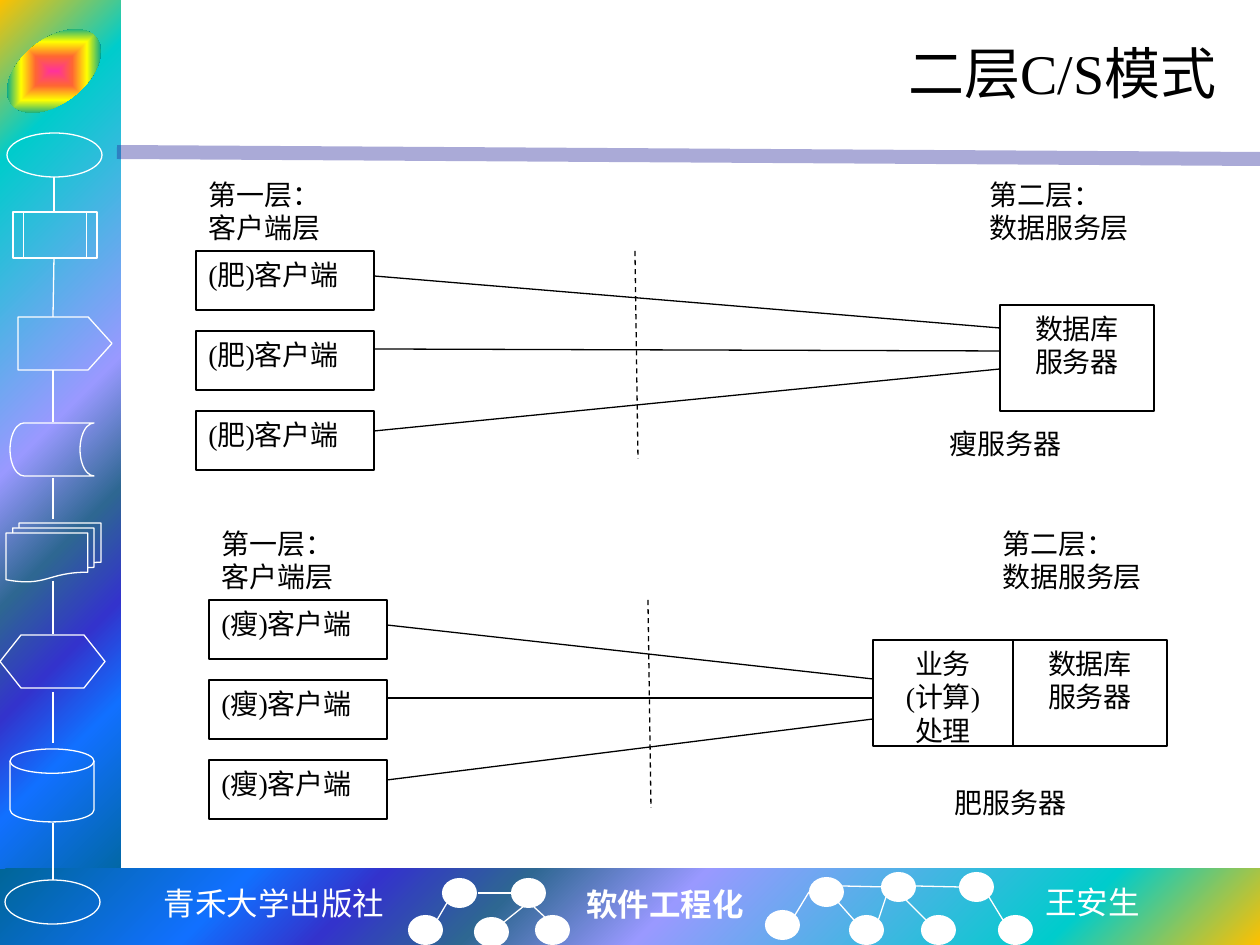
from lxml import etree
from pptx import Presentation, util as u
from pptx.dml.color import RGBColor
from pptx.enum import dml, shapes, text
from pptx.oxml import ns

PX = 914400 / 126
THEME = {
    "ink": "000000", "white": "FFFFFF", "rule": "262699",
    "serif": "Times New Roman", "mono": "Noto Sans Mono", "cjk": "Noto Sans CJK SC",
    "title": 32, "footer": 18, "body": 16, "hairline": 0.75, "rule_width": 8,
    "band": [(0, "FFC000"), (16, "00CCCC"), (47, "9999FF"), (60, "2E6792"),
             (71, "3333CC"), (81, "1170FF"), (100, "006699")],
    "badge": [(0, "FF3399"), (25, "FF6633"), (50, "FFFF00"), (75, "01A78F"), (100, "3366FF")],
}
KIND = shapes.MSO_SHAPE
ALIGN = text.PP_ALIGN

deck = Presentation()
deck.slide_width, deck.slide_height = u.Inches(10), u.Inches(7.5)
slide = deck.slides.add_slide(deck.slide_layouts[6])


def add_part(box, kind=None, words="", fill=None, line=None, size="body", font="serif",
             color="ink", bold=False, align=ALIGN.LEFT, **frame_format):
    """Add a shape, or a text box when kind is None; box is in pixels."""
    place = [round(v * PX) for v in box]
    if kind is None:
        part = slide.shapes.add_textbox(*place)
    else:
        part = slide.shapes.add_shape(kind, *place)
        part.shadow.inherit = False
        if fill:
            part.fill.solid()
            part.fill.fore_color.rgb = RGBColor.from_string(THEME[fill])
        else:
            part.fill.background()
        if line:
            part.line.color.rgb = RGBColor.from_string(THEME[line])
            part.line.width = u.Pt(THEME["hairline"])
        else:
            part.line.fill.background()
    if words:
        frame = part.text_frame
        frame_values = {"word_wrap": True, "vertical_anchor": text.MSO_ANCHOR.TOP, **frame_format}
        for name, value in frame_values.items():
            setattr(frame, name, value)
        frame.text = words
        font_values = {"size": u.Pt(THEME[size]), "name": THEME[font], "bold": bold}
        for paragraph in frame.paragraphs:
            paragraph.alignment = align
            for run in paragraph.runs:
                for name, value in font_values.items():
                    setattr(run.font, name, value)
                run.font.color.rgb = RGBColor.from_string(THEME[color])
                east = etree.SubElement(run.font._element, ns.qn("a:ea"))
                east.set("typeface", THEME["cjk"])
    return part


def add_line(ends, color="white", width="hairline", dash=None):
    """Join two points given in pixels as x1, y1, x2, y2."""
    link = slide.shapes.add_connector(shapes.MSO_CONNECTOR.STRAIGHT, *[round(v * PX) for v in ends])
    link.line.color.rgb = RGBColor.from_string(THEME[color])
    link.line.width = u.Pt(THEME[width])
    if dash:
        link.line.dash_style = dash
    etree.SubElement(link._element.spPr, ns.qn("a:effectLst"))
    return link


# Gradient side band, footer band and badge
for box, kind, stops, path_kind, focus, turn in [
    ((0, 0, 121, 893), KIND.RECTANGLE, "band", "circle", (0, 0, 100, 100), 0),
    ((0, 869, 1260, 76), KIND.RECTANGLE, "band", "circle", (100, 100, 0, 0), 0),
    ((0, 39, 108, 64), KIND.OVAL, "badge", "shape", (50, 50, 50, 50), -38),
]:
    band = add_part(box, kind)
    band.rotation = turn
    props = band._element.spPr
    props.remove(props.find(ns.qn("a:noFill")))
    gradient = etree.Element(ns.qn("a:gradFill"), rotWithShape="1")
    stop_list = etree.SubElement(gradient, ns.qn("a:gsLst"))
    for position, color in THEME[stops]:
        stop = etree.SubElement(stop_list, ns.qn("a:gs"), pos=str(position * 1000))
        etree.SubElement(stop, ns.qn("a:srgbClr"), val=color)
    spread = etree.SubElement(gradient, ns.qn("a:path"), path=path_kind)
    etree.SubElement(spread, ns.qn("a:fillToRect"),
                     {side: str(v * 1000) for side, v in zip("ltrb", focus)})
    props.insert(2, gradient)

# Translucent rule under the title
rule = add_line((117, 152, 1260, 159), "rule", "rule_width")
rule_color = rule._element.spPr.find(".//" + ns.qn("a:srgbClr"))
etree.SubElement(rule_color, ns.qn("a:alpha"), val="39000")

# Flowchart down the side band
for kind, box in [
    (KIND.OVAL, (7, 133, 95, 44)),
    (KIND.FLOWCHART_PREDEFINED_PROCESS, (13, 212, 84, 46)),
    (KIND.PENTAGON, (18, 317, 94, 53)),
    (KIND.FLOWCHART_STORED_DATA, (10, 423, 84, 53)),
    (KIND.FLOWCHART_MULTIDOCUMENT, (6, 523, 95, 59)),
    (KIND.FLOWCHART_PREPARATION, (0, 635, 105, 53)),
    (KIND.FLOWCHART_MAGNETIC_DISK, (10, 749, 84, 73)),
    (KIND.OVAL, (5, 880, 95, 44)),
]:
    step = add_part(box, kind, line="white")
    if kind == KIND.PENTAGON:
        step.adjustments[0] = 0.45
for top, bottom in [(177, 212), (258, 317), (370, 422), (478, 519),
                    (581, 634), (692, 743), (823, 880)]:
    add_line((54 if top < 300 else 53, top, 54 if top < 200 else 53, bottom))

# Footer trees
for x, y in [(442, 878), (511, 878), (408, 915), (474, 917), (535, 915), (809, 877), (881, 872),
             (959, 872), (765, 910), (849, 915), (921, 915), (998, 915)]:
    add_part((x, y, 35, 30), KIND.OVAL, fill="white")
for branch in [(437, 920, 447, 903), (504, 922, 524, 906), (512, 893, 478, 893),
               (547, 919, 534, 907), (854, 920, 838, 902), (926, 920, 901, 895),
               (1003, 920, 989, 897), (878, 921, 886, 897), (915, 886, 959, 887),
               (795, 915, 809, 892), (842, 886, 886, 887)]:
    add_line(branch)

# Footer wording
for words, box, font, bold, align in [
    ("青禾大学出版社", (150, 878, 248, 50), "mono", False, ALIGN.CENTER),
    ("软件工程化", (574, 879, 184, 50), "serif", True, ALIGN.LEFT),
    ("王安生", (1033, 877, 121, 50), "cjk", False, ALIGN.LEFT),
]:
    add_part(box, words=words, size="footer", font=font, color="white", bold=bold, align=align,
             word_wrap=False, auto_size=text.MSO_AUTO_SIZE.SHAPE_TO_FIT_TEXT)

# Title
add_part((158, 21, 1071, 102), words="二层C/S模式", size="title", align=ALIGN.RIGHT,
         vertical_anchor=text.MSO_ANCHOR.MIDDLE)

# Two client/server diagrams, the second one shifted right and down
for dx, dy, client, server_top, link_x, link_ys, note, note_at in [
    (0, 0, "(肥)客户端", 305, 1000, (328, 351, 369), "瘦服务器", (937, 420)),
    (13, 349, "(瘦)客户端", 640, 873, (679, 698, 719), "肥服务器", (942, 779)),
]:
    for row, (start_y, end_y) in enumerate(zip((276, 349, 431), link_ys)):
        add_part((196 + dx, 251 + dy + 80 * row, 178, 59), KIND.RECTANGLE, client, line="ink")
        add_line((374 + dx, start_y + dy, link_x, end_y), "ink")
    add_part((1000 + dx, server_top, 154, 106), KIND.RECTANGLE, "数据库\n服务器",
             line="ink", align=ALIGN.CENTER)
    add_part((196 + dx, 171 + dy, 140, 80), words="第一层：\n客户端层")
    add_part((977 + dx, 171 + dy, 168, 80), words="第二层：\n数据服务层")
    add_line((635 + dx, 251 + dy, 638 + dx, 459 + dy), "ink", dash=dml.MSO_LINE.DASH)
    add_part((*note_at, 168, 80), words=note)

# Business logic beside the second server
add_part((873, 640, 140, 106), KIND.RECTANGLE, "业务\n(计算)\n处理", line="ink", align=ALIGN.CENTER)

deck.save("out.pptx")
